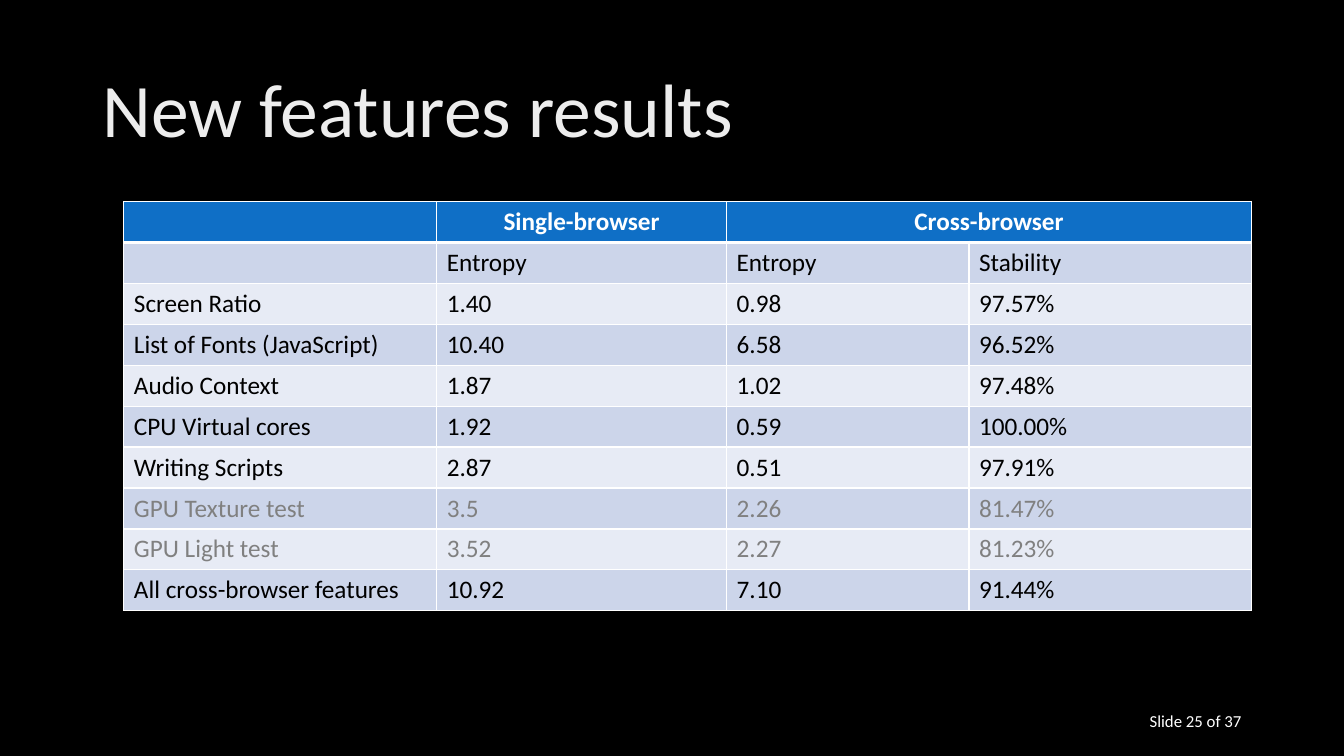
from dataclasses import dataclass

from lxml import etree
from pptx import Presentation
from pptx.dml.color import RGBColor
from pptx.enum.text import MSO_ANCHOR, PP_ALIGN
from pptx.oxml.ns import qn
from pptx.util import Emu, Pt

MIDDLE = MSO_ANCHOR.MIDDLE
LEFT, CENTER, RIGHT = PP_ALIGN.LEFT, PP_ALIGN.CENTER, PP_ALIGN.RIGHT
TITLE_ONLY = 5


@dataclass(frozen=True)
class Theme:
    font: str = "Calibri"
    back: str = "000000"
    ink: str = "000000"
    white: str = "FFFFFF"
    muted: str = "808080"
    head: str = "0F6FC6"
    bands: tuple = ("CCD5EA", "E7EBF5")
    shine: tuple = ((0, "BFBFBF"), (28, "EDEDED"), (100, "FFFFFF"))
    angle: int = 80
    title: int = 54
    body: int = 18
    note: int = 12
    thin: int = 1
    thick: int = 3


@dataclass(frozen=True)
class Box:
    left: int
    top: int
    width: int
    height: int

    def emu(self) -> tuple:
        return tuple(map(px, (self.left, self.top, self.width, self.height)))


@dataclass(frozen=True)
class Row:
    cells: tuple
    color: str


THEME = Theme()
TITLE = Box(88, 38, 1104, 139)
NOTE = Box(904, 667, 288, 38)
GRID = Box(118, 192, 1074, 390)
COLS = (298, 276, 231, 269)

ROWS = (
    Row(("", "Single-browser", "Cross-browser", ""), THEME.white),
    Row(("", "Entropy", "Entropy", "Stability"), THEME.ink),
    Row(("Screen Ratio", "1.40", "0.98", "97.57%"), THEME.ink),
    Row(("List of Fonts (JavaScript)", "10.40", "6.58", "96.52%"), THEME.ink),
    Row(("Audio Context", "1.87", "1.02", "97.48%"), THEME.ink),
    Row(("CPU Virtual cores", "1.92", "0.59", "100.00%"), THEME.ink),
    Row(("Writing Scripts", "2.87", "0.51", "97.91%"), THEME.ink),
    Row(("GPU Texture test", "3.5", "2.26", "81.47%"), THEME.muted),
    Row(("GPU Light test", "3.52", "2.27", "81.23%"), THEME.muted),
    Row(("All cross-browser features", "10.92", "7.10", "91.44%"), THEME.ink),
)


def px(count: int) -> Emu:
    return Emu(count * 9525)


def rgb(color: str) -> RGBColor:
    return RGBColor.from_string(color)


def add_run(para, text: str, size: int, color: str = "", bold: bool = False):
    run = para.add_run()
    run.text = text
    run.font.size = Pt(size)
    run.font.name = THEME.font
    run.font.bold = bold
    if color:
        run.font.fill.solid()
        run.font.fill.fore_color.rgb = rgb(color)
    return run


def add_shine(run) -> None:
    """Fill the letters of a run with the theme's gradient."""
    props = run.font._element
    grad = etree.Element(qn("a:gradFill"))
    stops = etree.SubElement(grad, qn("a:gsLst"))
    for place, color in THEME.shine:
        stop = etree.SubElement(stops, qn("a:gs"), pos=str(place * 1000))
        etree.SubElement(stop, qn("a:srgbClr"), val=color)
    etree.SubElement(grad, qn("a:lin"), ang=str(THEME.angle * 60000), scaled="0")
    props.insert(0, grad)


def add_edges(cell, top: int, bottom: int) -> None:
    props = cell._tc.get_or_add_tcPr()
    widths = {"lnL": THEME.thin, "lnR": THEME.thin, "lnT": top, "lnB": bottom}
    for side, width in widths.items():
        line = etree.SubElement(props, qn(f"a:{side}"), w=str(Pt(width)))
        fill = etree.SubElement(line, qn("a:solidFill"))
        etree.SubElement(fill, qn("a:srgbClr"), val=THEME.white)


def add_title(slide, text: str) -> None:
    shape = slide.shapes.title
    shape.left, shape.top, shape.width, shape.height = TITLE.emu()
    shape.text_frame.vertical_anchor = MIDDLE
    para = shape.text_frame.paragraphs[0]
    para.alignment = LEFT
    para.line_spacing = 0.9
    add_shine(add_run(para, text, THEME.title))


def add_grid(slide) -> None:
    table = slide.shapes.add_table(len(ROWS), len(COLS), *GRID.emu()).table
    for col, width in zip(table.columns, COLS):
        col.width = px(width)
    for r, row in enumerate(ROWS):
        head = r == 0
        top = THEME.thick if r == 1 else THEME.thin
        bottom = THEME.thick if head else THEME.thin
        for c, text in enumerate(row.cells):
            cell = table.cell(r, c)
            add_edges(cell, top, bottom)
            cell.fill.solid()
            shade = THEME.head if head else THEME.bands[(r - 1) % 2]
            cell.fill.fore_color.rgb = rgb(shade)
            para = cell.text_frame.paragraphs[0]
            para.alignment = CENTER if head else LEFT
            if text:
                add_run(para, text, THEME.body, row.color, head)
    table.cell(0, 2).merge(table.cell(0, 3))


def add_note(slide, text: str) -> None:
    frame = slide.shapes.add_textbox(*NOTE.emu()).text_frame
    frame.word_wrap = True
    frame.vertical_anchor = MIDDLE
    para = frame.paragraphs[0]
    para.alignment = RIGHT
    add_run(para, text, THEME.note, THEME.white)


def main() -> None:
    deck = Presentation()
    deck.slide_width, deck.slide_height = px(1280), px(720)
    slide = deck.slides.add_slide(deck.slide_layouts[TITLE_ONLY])

    # Background
    slide.background.fill.solid()
    slide.background.fill.fore_color.rgb = rgb(THEME.back)

    # Title, results table and slide count
    add_title(slide, "New features results")
    add_grid(slide)
    add_note(slide, "Slide 25 of 37")
    deck.save("out.pptx")


if __name__ == "__main__":
    main()
